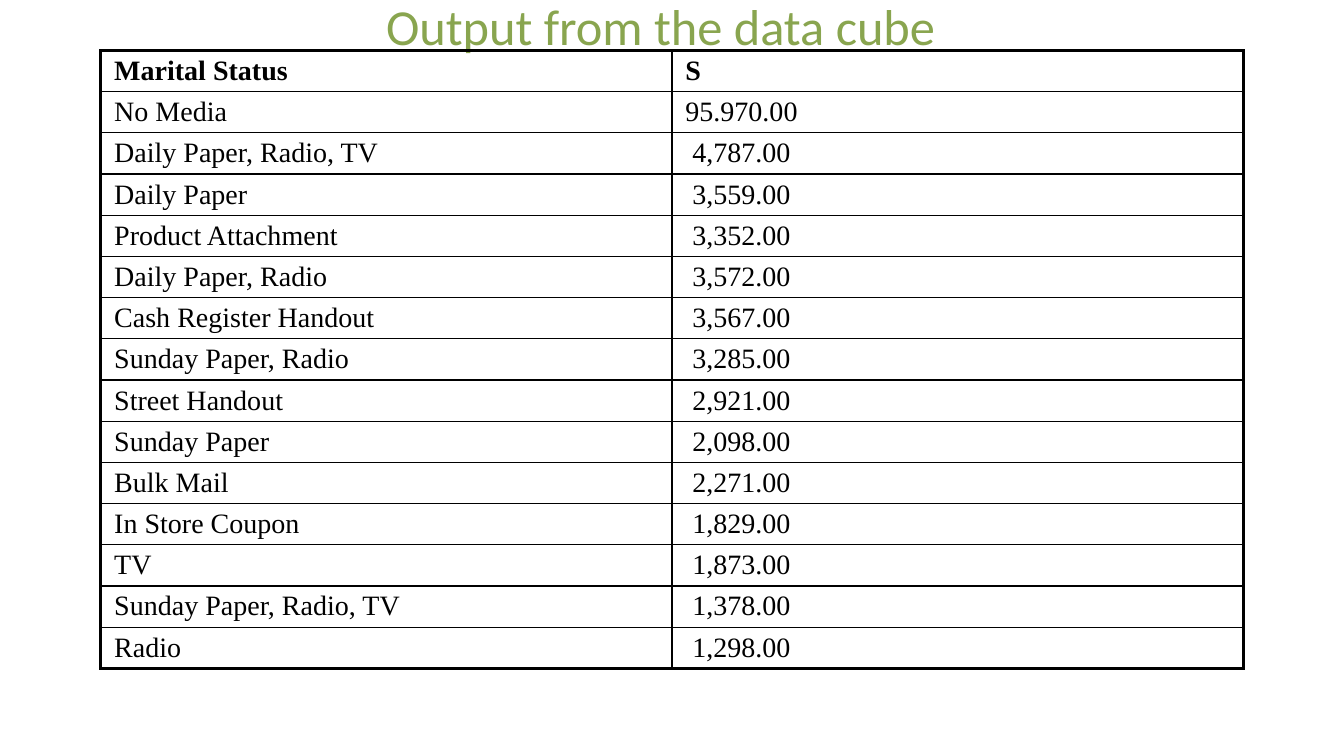
from lxml import etree
from pptx import Presentation
from pptx.dml.color import RGBColor
from pptx.enum import text
from pptx.oxml.ns import qn
from pptx.util import Pt

TITLE = "Output from the data cube"
ROWS = [
    ("Marital Status", "S"),
    ("No Media", "95.970.00"),
    ("Daily Paper, Radio, TV", " 4,787.00"),
    ("Daily Paper", " 3,559.00"),
    ("Product Attachment", " 3,352.00"),
    ("Daily Paper, Radio", " 3,572.00"),
    ("Cash Register Handout", " 3,567.00"),
    ("Sunday Paper, Radio", " 3,285.00"),
    ("Street Handout", " 2,921.00"),
    ("Sunday Paper", " 2,098.00"),
    ("Bulk Mail", " 2,271.00"),
    ("In Store Coupon", " 1,829.00"),
    ("TV", " 1,873.00"),
    ("Sunday Paper, Radio, TV", " 1,378.00"),
    ("Radio", " 1,298.00"),
]
COLORS = {"title": "89A54F", "ink": "000000"}
LEFT, TOP, WIDTH, ROW_HEIGHT = 72, 36, 816, 29.4
OUTER, INNER = 2.25, 1


def style_runs(p, font, size, color, bold=False):
    for r in p.runs:
        r.font.name, r.font.size, r.font.bold = font, Pt(size), bold
        r.font.color.rgb = RGBColor.from_string(COLORS[color])


def set_borders(cell, widths):
    """Draw cell sides; widths maps L, R, T, B (in that order) to points."""
    tcPr = cell._tc.get_or_add_tcPr()
    for side, width in widths.items():
        ln = etree.SubElement(tcPr, qn(f"a:ln{side}"), w=str(Pt(width)))
        fill = etree.SubElement(ln, qn("a:solidFill"))
        etree.SubElement(fill, qn("a:srgbClr"), val=COLORS["ink"])


def add_title(slide):
    sp = slide.shapes.title
    sp.left, sp.top, sp.width, sp.height = Pt(64), Pt(0), Pt(WIDTH), Pt(36)
    tf = sp.text_frame
    tf.text = TITLE
    tf.word_wrap = True
    tf.auto_size = text.MSO_AUTO_SIZE.NONE
    tf.vertical_anchor = text.MSO_ANCHOR.MIDDLE
    p = tf.paragraphs[0]
    p.alignment = text.PP_ALIGN.CENTER
    style_runs(p, "Calibri", 36, "title")


def add_media_table(slide):
    n_rows, n_cols = len(ROWS), len(ROWS[0])
    table = slide.shapes.add_table(n_rows, n_cols, Pt(LEFT), Pt(TOP),
                                   Pt(WIDTH), Pt(ROW_HEIGHT * n_rows)).table
    table.first_row = table.horz_banding = False
    for i, row in enumerate(ROWS):
        table.rows[i].height = Pt(ROW_HEIGHT)
        for j, value in enumerate(row):
            cell = table.cell(i, j)
            cell.text = value
            cell.margin_left = cell.margin_right = Pt(9.6)
            cell.margin_top = cell.margin_bottom = Pt(3.6)
            style_runs(cell.text_frame.paragraphs[0], "Times New Roman", 20,
                       "ink", bold=i == 0)
            set_borders(cell, {
                "L": OUTER if j == 0 else INNER,
                "R": OUTER if j == n_cols - 1 else INNER,
                "T": OUTER if i == 0 else INNER,
                "B": OUTER if i == n_rows - 1 else INNER,
            })
            cell.fill.background()


def main():
    prs = Presentation()
    prs.slide_width, prs.slide_height = Pt(960), Pt(540)
    slide = prs.slides.add_slide(prs.slide_layouts[5])
    add_title(slide)
    add_media_table(slide)
    prs.save("out.pptx")


if __name__ == "__main__":
    main()
